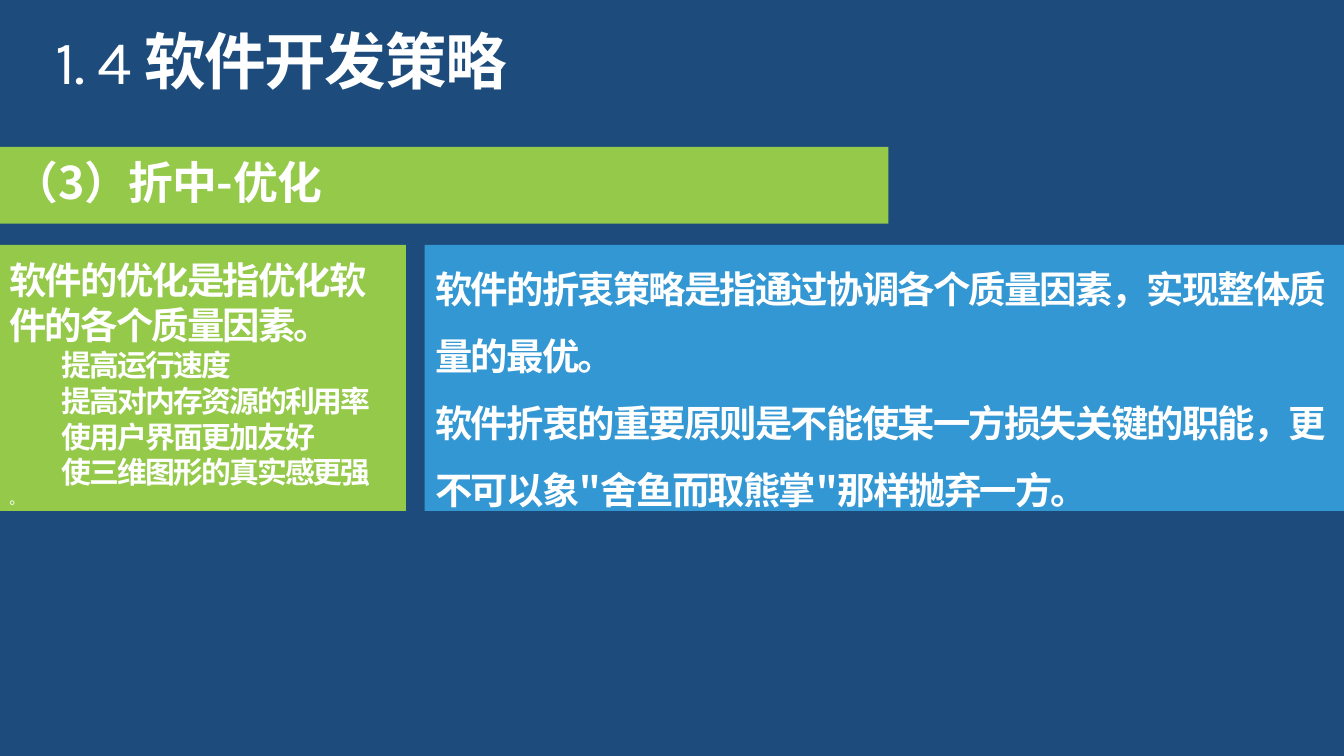
from pptx import Presentation, util as u
from pptx.dml.color import RGBColor
from pptx.enum import shapes, text
from lxml import etree

WIDE = 10
HIGH = WIDE * 9 / 16
HUES = {"navy": "1D4C7C", "green": "94C949", "blue": "3397D3", "white": "FFFFFF"}
HAN, LATIN = "Noto Sans CJK SC", "Karla"
A = "{http://schemas.openxmlformats.org/drawingml/2006/main}"


class Deck:
    def __init__(self):
        self.prs = Presentation()
        self.prs.slide_width = u.Inches(WIDE)
        self.prs.slide_height = u.Inches(HIGH)
        self.slide = self.prs.slides.add_slide(self.prs.slide_layouts[6])
        self.paint(self.slide.background.fill, "navy")

    def paint(self, fill, hue):
        fill.solid()
        fill.fore_color.rgb = RGBColor.from_string(HUES[hue])

    def area(self, left, top, wide, high):
        """Turn percentages of the slide's size into lengths."""
        return [u.Inches(share * side / 100) for share, side in
                zip((left, top, wide, high), (WIDE, HIGH, WIDE, HIGH))]

    def panel(self, area, hue, home=None):
        home = home or self.slide.shapes
        box = home.add_shape(shapes.MSO_SHAPE.RECTANGLE, *self.area(*area))
        box.shadow.inherit = False
        self.paint(box.fill, hue)
        box.line.fill.background()
        return box

    def label(self, area, home=None):
        home = home or self.slide.shapes
        return home.add_textbox(*self.area(*area))

    def frame(self, box, pads, middle=True):
        body = box.text_frame
        body.word_wrap = True
        body.auto_size = text.MSO_AUTO_SIZE.NONE
        anchor = text.MSO_ANCHOR
        body.vertical_anchor = anchor.MIDDLE if middle else anchor.TOP
        (body.margin_left, body.margin_top,
         body.margin_right, body.margin_bottom) = map(u.Inches, pads)

    def line(self, box, runs, pitch=1.0, indent=0):
        """Add a paragraph; each run is (words, size, font, bold, tracking)."""
        body = box.text_frame
        first = body.paragraphs[0]
        para = body.add_paragraph() if first.runs else first
        para.alignment = text.PP_ALIGN.LEFT
        para.line_spacing = pitch
        if indent:
            props = para._p.get_or_add_pPr()
            props.set("marL", "0")
            props.set("indent", str(u.Inches(indent)))
        for words, size, face, bold, track in runs:
            run = para.add_run()
            run.text = words
            font = run.font
            font.size, font.bold, font.name = u.Pt(size), bold, face
            font.color.rgb = RGBColor.from_string(HUES["white"])
            props = run._r.get_or_add_rPr()
            props.set("spc", str(round(track * 100)))
            latin = props.find(A + "latin")
            latin.addnext(etree.Element(A + "ea", typeface=face))


def main():
    deck = Deck()
    row, tall = 32.4, 35.2

    # Blue panel: compromise
    box = deck.panel((31.6, row, 68.4, tall), "blue")
    deck.frame(box, (0.08, 0.04, 0.08, 0.04))
    for words in ("软件的折衷策略是指通过协调各个质量因素，实现整体质量的最优。",
                  "软件折衷的重要原则是不能使某一方损失关键的职能，"
                  "更不可以象\"舍鱼而取熊掌\"那样抛弃一方。"):
        deck.line(box, [(words, 20, HAN, True, -1)], pitch=1.5)

    # Green panel: optimisation, its lower pad lifts the centred text
    group = deck.slide.shapes.add_group_shape().shapes
    deck.panel((0, row, 30.2, tall), "green", group)
    box = deck.label((0.7, 47.3, 28.9, 12.8), group)
    deck.frame(box, (0, 0, 0, 0.35))
    deck.line(box, [("软件的优化是指优化软件的各个质量因素。", 20, HAN, True, -1)])
    for words in ("提高运行速度", "提高对内存资源的利用率",
                  "使用户界面更加友好", "使三维图形的真实感更强"):
        deck.line(box, [(words, 16, HAN, True, -1)], indent=0.39)
    deck.line(box, [("。", 8, LATIN, False, -1)])

    # Title
    box = deck.label((3.15, 3.3, 68.7, 8.9))
    deck.frame(box, (0.1, 0.05, 0.1, 0.05), middle=False)
    deck.line(box, [("1. 4 ", 33, LATIN, False, -0.8),
                    ("软件开发策略", 33, HAN, True, -0.8)], pitch=0.9)

    # Heading band
    box = deck.panel((0, 19.45, 66.1, 10.15), "green")
    deck.frame(box, (0.1, 0.1, 0.1, 0.1))
    deck.line(box, [("（3）折中-优化", 24, HAN, True, -0.5)], pitch=0.9)

    deck.prs.save("out.pptx")


if __name__ == "__main__":
    main()
